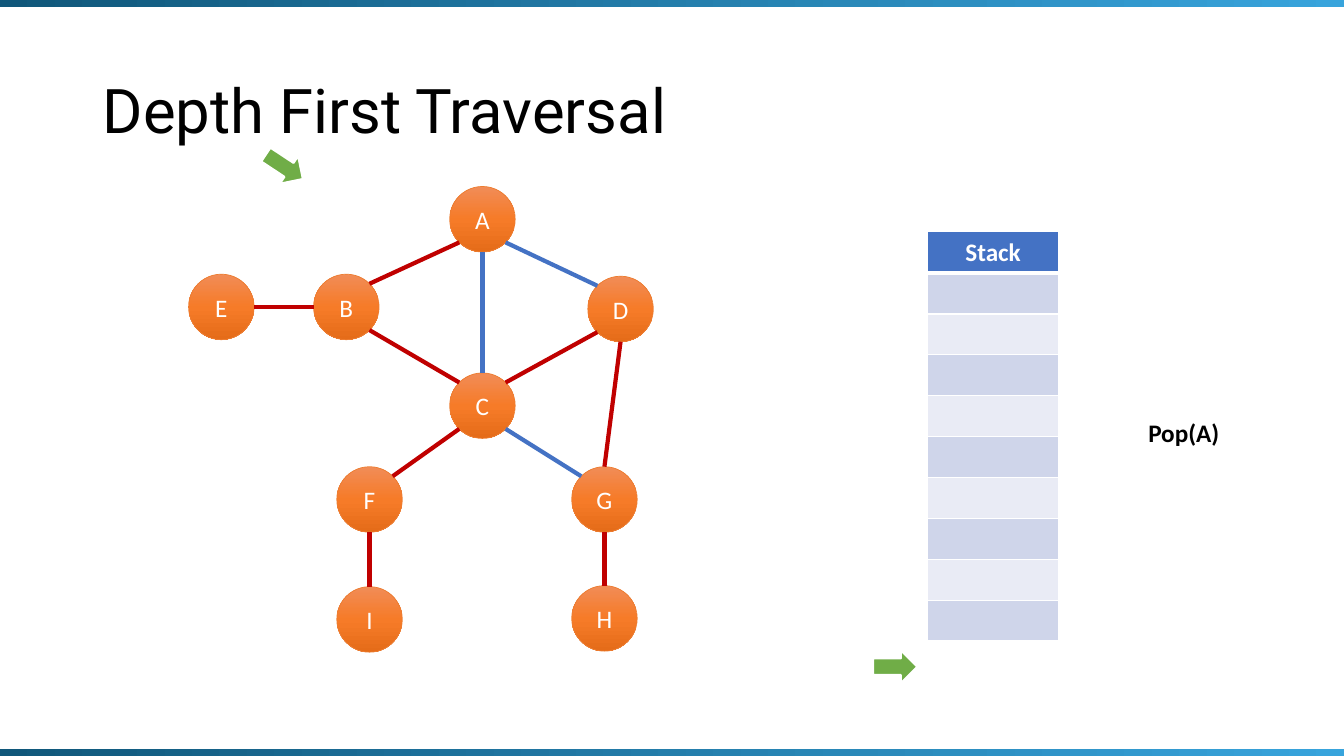
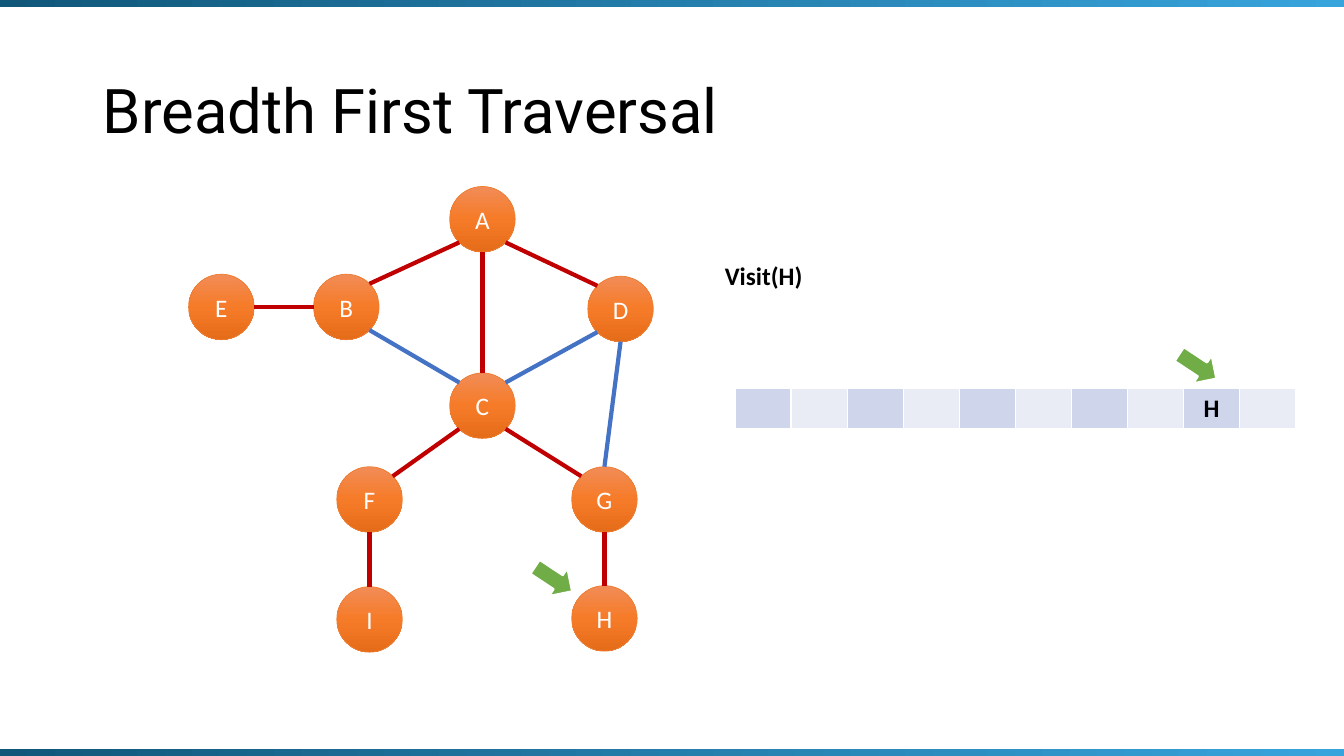
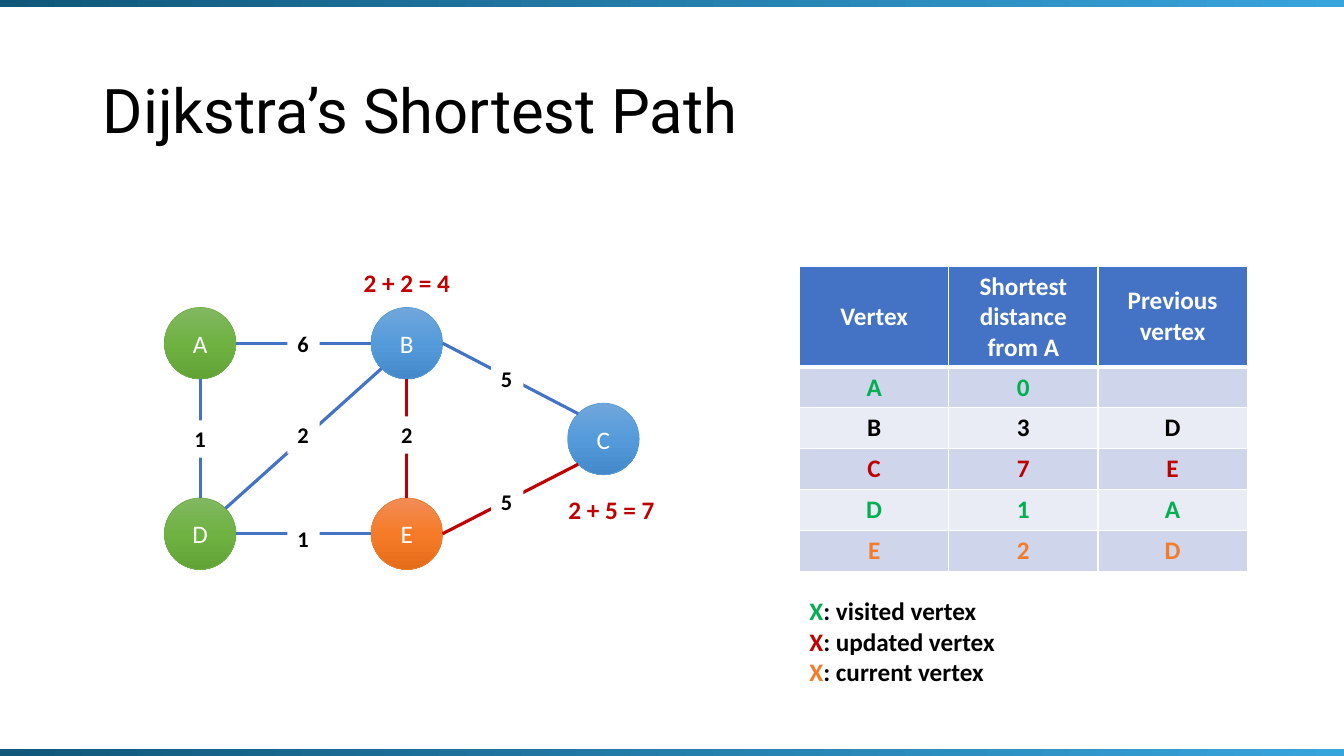
import math

from lxml import etree
from pptx import Presentation
from pptx.dml.color import RGBColor
from pptx.enum.shapes import MSO_CONNECTOR, MSO_SHAPE
from pptx.enum.text import MSO_ANCHOR, MSO_AUTO_SIZE, PP_ALIGN
from pptx.oxml.ns import qn
from pptx.util import Inches, Pt

STRAIGHT = MSO_CONNECTOR.STRAIGHT
RECTANGLE = MSO_SHAPE.RECTANGLE
ELLIPSE = MSO_SHAPE.OVAL
RIGHT_ARROW = MSO_SHAPE.RIGHT_ARROW
MIDDLE = MSO_ANCHOR.MIDDLE
TOP = MSO_ANCHOR.TOP
CENTER = PP_ALIGN.CENTER
GROW = MSO_AUTO_SIZE.SHAPE_TO_FIT_TEXT


class Theme:
    title_font, body_font = "Roboto", "Calibri"
    title_size, body_size, weight_size = 44, 18, 16
    text, white = "000000", "FFFFFF"
    visited, updated, current = "00B050", "C00000", "F67B28"
    edge, chosen_edge = "4472C4", "C00000"
    header, odd_row, even_row = "4472C4", "CFD5EA", "E9EBF5"
    pointer = "70AD47"
    band = ("10577A", "38A4DC")
    orange = (("F18C57", "F67B28", "E56C19"), "ED7D31")
    green = (("81B861", "6FB242", "62A336"), "70AD47")
    blue = (("71A6DB", "559BDB", "448ACA"), "5B9BD5")


SLIDE_W, SLIDE_H = 13.33, 7.5
BAND_TOPS, BAND_H = (-0.01, 7.43), 0.08
POINTER_W, POINTER_H, POINTER_TILT = 0.44, 0.33, 33.4

TOP_SITE, TOP_LEFT, LEFT, BOTTOM_LEFT, BOTTOM, BOTTOM_RIGHT, RIGHT, TOP_RIGHT = range(8)

TRAVERSAL_SIZE = 0.65
TRAVERSAL_NODES = {
    "A": (4.46, 1.85), "C": (4.46, 3.7), "D": (5.83, 2.74),
    "B": (3.11, 2.72), "E": (1.87, 2.72), "F": (3.34, 4.63),
    "G": (5.67, 4.63), "I": (3.34, 5.82), "H": (5.67, 5.81),
}
TRAVERSAL_EDGES = {
    "EB": (RIGHT, LEFT),
    "AB": (BOTTOM_LEFT, TOP_RIGHT),
    "BC": (BOTTOM_RIGHT, TOP_LEFT),
    "AC": (BOTTOM, TOP_SITE),
    "AD": (BOTTOM_RIGHT, TOP_LEFT),
    "DC": (BOTTOM_LEFT, TOP_RIGHT),
    "CF": (BOTTOM_LEFT, TOP_RIGHT),
    "FI": (BOTTOM, TOP_SITE),
    "CG": (BOTTOM_RIGHT, TOP_LEFT),
    "GH": (BOTTOM, TOP_SITE),
    "DG": (BOTTOM, TOP_SITE),
}
TRAVERSALS = [
    {
        "title": "Depth First Traversal",
        "chosen": ("EB", "AB", "BC", "DC", "CF", "FI", "GH", "DG"),
        "table": {"at": (9.2, 2.3, 1.3, 4.06), "head": 0.41,
                  "rows": [["Stack"]] + [[""]] * 9},
        "pointers": [(2.6, 1.49, POINTER_TILT), (8.66, 6.45, 0)],
        "step": ("Pop(A)", (11.29, 4.09, 0.91, 0.4)),
    },
    {
        "title": "Breadth First Traversal",
        "chosen": ("EB", "AB", "AC", "AD", "CF", "FI", "CG", "GH"),
        "table": {"at": (7.29, 3.85, 5.56, 0.41), "head": 0,
                  "rows": [[""] * 8 + ["H", ""]]},
        "pointers": [(11.66, 3.47, POINTER_TILT), (5.27, 5.58, POINTER_TILT)],
        "step": ("Visit(H)", (7.09, 2.53, 0.98, 0.4)),
    },
]

PATH_SIZE = 0.71
PATH_NODES = {
    "A": (1.63, 3.05), "D": (1.63, 4.94), "B": (3.68, 3.05),
    "E": (3.68, 4.94), "C": (5.63, 4),
}
PATH_STYLES = {"A": Theme.green, "D": Theme.green, "B": Theme.blue,
               "C": Theme.blue, "E": Theme.orange}
PATH_EDGES = {
    "AB": (RIGHT, LEFT),
    "AD": (BOTTOM, TOP_SITE),
    "DE": (RIGHT, LEFT),
    "BE": (BOTTOM, TOP_SITE),
    "BC": (RIGHT, TOP_LEFT),
    "EC": (RIGHT, BOTTOM_LEFT),
    "DB": (TOP_RIGHT, BOTTOM_LEFT),
}
PATH_CHOSEN = ("BE", "EC")
WEIGHT_H = 0.37
WEIGHTS = [
    ("1", 1.83, 4.17, 0.32), ("6", 2.85, 3.23, 0.32), ("2", 2.85, 4.13, 0.32),
    ("1", 2.85, 5.16, 0.32), ("2", 3.88, 4.13, 0.39), ("5", 4.87, 3.57, 0.32),
    ("5", 4.87, 4.79, 0.32),
]
SUMS = [("2 + 2 = 4", (3.5, 2.6, 1.07, 0.4)), ("2 + 5 = 7", (5.53, 4.85, 1.07, 0.4))]
DISTANCES = {
    "at": (7.93, 2.64, 4.44, 3.03),
    "head": 1,
    "rows": [
        ["Vertex", "Shortest distance from A", "Previous vertex"],
        ["A", "0", ""],
        ["B", "3", "D"],
        ["C", "7", "E"],
        ["D", "1", "A"],
        ["E", "2", "D"],
    ],
    "colors": {"A": Theme.visited, "C": Theme.updated,
               "D": Theme.visited, "E": Theme.current},
}
LEGEND_AT = (7.93, 5.86, 2.05, 1.01)
LEGEND = [
    [("X", Theme.visited), (": visited vertex", Theme.text)],
    [("X", Theme.updated), (": updated vertex", Theme.text)],
    [("X", Theme.current), (": current vertex", Theme.text)],
]


def rgb(color):
    return RGBColor.from_string(color)


def box(at):
    return [Inches(length) for length in at]


def write(frame, text, size=Theme.body_size, color=Theme.text, bold=False,
          font=Theme.body_font, align=None, spacing=None):
    paragraphs = [[(text, color)]] if isinstance(text, str) else text
    for index, runs in enumerate(paragraphs):
        paragraph = frame.add_paragraph() if index else frame.paragraphs[0]
        paragraph.alignment = align
        paragraph.line_spacing = spacing
        for words, run_color in runs:
            run = paragraph.add_run()
            run.text = words
            run.font.name, run.font.size, run.font.bold = font, Pt(size), bold
            run.font.color.rgb = rgb(run_color)


def add_label(slide, text, at, fill=None, wrap=False, anchor=TOP, **style):
    label = slide.shapes.add_textbox(*box(at))
    frame = label.text_frame
    frame.word_wrap = wrap
    frame.vertical_anchor = anchor
    if not wrap:
        frame.auto_size = GROW
    if fill:
        label.fill.solid()
        label.fill.fore_color.rgb = rgb(fill)
    write(frame, text, **style)


def add_figure(slide, preset, at, fill, line=None, width=0, angle=0):
    figure = slide.shapes.add_shape(preset, *box(at))
    figure.shadow.inherit = False
    if isinstance(fill, str):
        figure.fill.solid()
        figure.fill.fore_color.rgb = rgb(fill)
    else:
        figure.fill.gradient()
        figure.fill.gradient_angle = angle
        stops = figure._element.spPr.find(".//" + qn("a:gsLst"))
        for stop in list(stops):
            stops.remove(stop)
        for index, color in enumerate(fill):
            position = 100000 * index // (len(fill) - 1)
            stop = etree.SubElement(stops, qn("a:gs"), pos=str(position))
            etree.SubElement(stop, qn("a:srgbClr"), val=color)
    if line:
        figure.line.color.rgb = rgb(line)
        figure.line.width = Pt(width)
    else:
        figure.line.fill.background()
    return figure


def start_slide(prs, title):
    slide = prs.slides.add_slide(prs.slide_layouts[6])
    add_label(slide, title, (0.92, 0.4, 11.5, 1.45), wrap=True, anchor=MIDDLE,
              size=Theme.title_size, font=Theme.title_font, spacing=0.9)
    for top in BAND_TOPS:
        add_figure(slide, RECTANGLE, (0, top, SLIDE_W, BAND_H), Theme.band)
    return slide


def site_point(corner, size, site):
    turn, radius = math.radians(45 * site), size / 2
    left, top = corner
    return (Inches(left + radius - radius * math.sin(turn)),
            Inches(top + radius - radius * math.cos(turn)))


def add_graph(slide, nodes, size, edges, chosen, styles, width):
    vertices = {}
    for name, (left, top) in nodes.items():
        fill, line = styles[name]
        vertex = add_figure(slide, ELLIPSE, (left, top, size, size), fill, line, 0.5, 270)
        vertex.text_frame.vertical_anchor = MIDDLE
        write(vertex.text_frame, name, color=Theme.white, align=CENTER)
        vertices[name] = vertex
    for ends, sites in edges.items():
        points = [site_point(nodes[name], size, site) for name, site in zip(ends, sites)]
        edge = slide.shapes.add_connector(STRAIGHT, *points[0], *points[1])
        edge.line.color.rgb = rgb(Theme.chosen_edge if ends in chosen else Theme.edge)
        edge.line.width = Pt(width)
        etree.SubElement(edge._element.spPr, qn("a:effectLst"))
        joints = edge._element.find(".//" + qn("p:cNvCxnSpPr"))
        for tag, name, site in zip(("a:stCxn", "a:endCxn"), ends, sites):
            etree.SubElement(joints, qn(tag), id=str(vertices[name].shape_id), idx=str(site))


def set_borders(cell, bottom):
    properties = cell._tc.get_or_add_tcPr()
    for index, (side, points) in enumerate([("L", 1), ("R", 1), ("T", 1), ("B", bottom)]):
        border = etree.Element(qn("a:ln" + side), w=str(Pt(points)))
        fill = etree.SubElement(border, qn("a:solidFill"))
        etree.SubElement(fill, qn("a:srgbClr"), val=Theme.white)
        properties.insert(index, border)


def add_grid(slide, at, head, rows, colors=None):
    count, columns = len(rows), len(rows[0])
    grid = slide.shapes.add_table(count, columns, *box(at)).table
    grid.first_row = grid.horz_banding = False
    width, height = at[2:]
    body_height = (height - head) / (count - bool(head))
    for column in grid.columns:
        column.width = Inches(width / columns)
    for row, values in enumerate(rows):
        is_head = bool(head) and row == 0
        grid.rows[row].height = Inches(head if is_head else body_height)
        for column, value in enumerate(values):
            cell = grid.cell(row, column)
            stripe = row + 1 if head else column
            fill = Theme.even_row if stripe % 2 else Theme.odd_row
            color = (colors or {}).get(values[0], Theme.text)
            if is_head:
                fill, color = Theme.header, Theme.white
                cell.vertical_anchor = MIDDLE
            cell.fill.solid()
            cell.fill.fore_color.rgb = rgb(fill)
            set_borders(cell, 3 if row == 0 else 1)
            if value:
                write(cell.text_frame, value, color=color, bold=True, align=CENTER)


def add_traversal(prs, traversal):
    slide = start_slide(prs, traversal["title"])
    styles = dict.fromkeys(TRAVERSAL_NODES, Theme.orange)
    add_graph(slide, TRAVERSAL_NODES, TRAVERSAL_SIZE, TRAVERSAL_EDGES,
              traversal["chosen"], styles, 3)
    add_grid(slide, **traversal["table"])
    for left, top, tilt in traversal["pointers"]:
        pointer = add_figure(slide, RIGHT_ARROW, (left, top, POINTER_W, POINTER_H),
                             Theme.pointer, Theme.white, 1.5)
        pointer.rotation = tilt
    add_label(slide, *traversal["step"], bold=True)


def add_shortest_path(prs):
    slide = start_slide(prs, "Dijkstra’s Shortest Path")
    add_graph(slide, PATH_NODES, PATH_SIZE, PATH_EDGES, PATH_CHOSEN, PATH_STYLES, 2.25)
    for weight, left, top, width in WEIGHTS:
        add_label(slide, weight, (left, top, width, WEIGHT_H), fill=Theme.white,
                  size=Theme.weight_size, bold=True)
    add_grid(slide, **DISTANCES)
    for total, at in SUMS:
        add_label(slide, total, at, color=Theme.updated, bold=True, align=CENTER)
    add_label(slide, LEGEND, LEGEND_AT, bold=True)


def main():
    prs = Presentation()
    prs.slide_width, prs.slide_height = Inches(SLIDE_W), Inches(SLIDE_H)
    for traversal in TRAVERSALS:
        add_traversal(prs, traversal)
    add_shortest_path(prs)
    prs.save("out.pptx")


if __name__ == "__main__":
    main()
